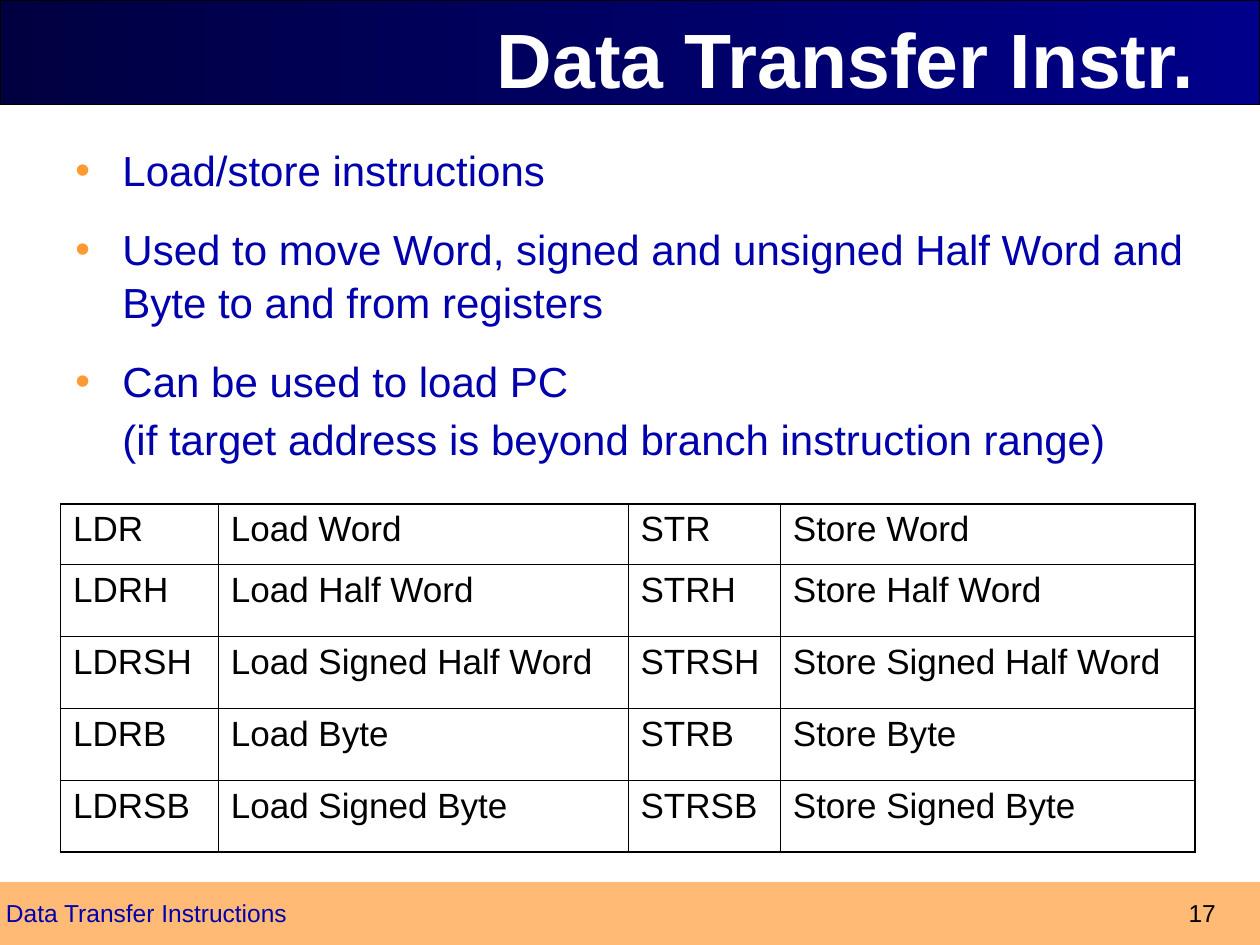
from dataclasses import dataclass

from lxml.etree import SubElement as Sub
from pptx import Presentation
from pptx.dml.color import RGBColor as Rgb
from pptx.enum.shapes import MSO_SHAPE as Shape
from pptx.enum.text import MSO_ANCHOR as Anchor, PP_ALIGN as Align
from pptx.oxml.ns import qn
from pptx.util import Cm, Pt


@dataclass(frozen=True)
class Theme:
    """Colours, font and type sizes of the deck."""
    font: str = "Arial"
    white: str = "FFFFFF"
    black: str = "000000"
    blue: str = "0000AC"
    dark: str = "000040"
    navy: str = "00008A"
    peach: str = "FFBA75"
    dot: str = "FF9933"
    head: int = 44
    body: int = 24
    cell: int = 20
    foot: int = 14
    thick: float = 1.08
    thin: float = 0.45


THEME = Theme()
POINTS = [
    ("Load/store instructions", True),
    ("Used to move Word, signed and unsigned Half Word and Byte to and from registers", True),
    ("Can be used to load PC", True),
    ("(if target address is beyond branch instruction range)", False),
]
CODES = [
    ("LDR", "Load Word", "STR", "Store Word"),
    ("LDRH", "Load Half Word", "STRH", "Store Half Word"),
    ("LDRSH", "Load Signed Half Word", "STRSH", "Store Signed Half Word"),
    ("LDRB", "Load Byte", "STRB", "Store Byte"),
    ("LDRSB", "Load Signed Byte", "STRSB", "Store Signed Byte"),
]


def place(box):
    """Turn a box in centimetres into lengths."""
    return [Cm(side) for side in box]


def write(para, text, size, color, bold=False):
    """Add one styled run to a paragraph."""
    run = para.add_run()
    run.text = text
    font = run.font
    font.name, font.size, font.bold = THEME.font, Pt(size), bold
    font.color.rgb = Rgb.from_string(color)


def add_bar(slide, box):
    """Add a plain bar without line or shadow."""
    bar = slide.shapes.add_shape(Shape.RECTANGLE, *place(box))
    bar.shadow.inherit = False
    bar.line.fill.background()
    return bar


def add_text(slide, box):
    """Add an empty wrapping text box and return its frame."""
    frame = slide.shapes.add_textbox(*place(box)).text_frame
    frame.word_wrap = True
    return frame


def add_head(slide, box, text):
    """Add the gradient band with the title on it."""
    left, top, width, height = box
    band = add_bar(slide, box)
    band.fill.gradient()
    band.fill.gradient_angle = 0
    for stop, color in zip(band.fill.gradient_stops, (THEME.dark, THEME.navy)):
        stop.color.rgb = Rgb.from_string(color)
    band.line.color.rgb = Rgb.from_string(THEME.black)
    band.line.width = Pt(0.75)
    title = slide.shapes.title
    title.element.addprevious(band.element)
    title.left, title.top, title.width, title.height = place(
        (left + 1.48, top - 0.43, width - 2.54, height + 1.07))
    frame = title.text_frame
    frame.word_wrap = True
    frame.vertical_anchor = Anchor.MIDDLE
    para = frame.paragraphs[0]
    para.alignment = Align.RIGHT
    write(para, text, THEME.head, THEME.white, True)


def add_body(slide, box, points):
    """Add the bullet list, with plain lines hung under their bullet."""
    frame = add_text(slide, box)
    for index, (text, dotted) in enumerate(points):
        para = frame.add_paragraph() if index else frame.paragraphs[0]
        props = para._p.get_or_add_pPr()
        props.set("marL", str(Cm(0.95)))
        props.set("indent", str(Cm(-0.95 if dotted else 0)))
        if dotted:
            Sub(Sub(props, qn("a:buClr")), qn("a:srgbClr"), val=THEME.dot)
            Sub(props, qn("a:buFont"), typeface=THEME.font)
            Sub(props, qn("a:buChar"), char="•")
        else:
            Sub(props, qn("a:buNone"))
        para.line_spacing = 1.05
        if index:
            para.space_before = Pt(15 if dotted else 3)
        write(para, text, THEME.body, THEME.blue)


def add_rule(cell, side, width):
    """Draw one border of a table cell."""
    rule = Sub(cell._tc.get_or_add_tcPr(), qn(f"a:ln{side}"), w=str(Pt(width)))
    Sub(Sub(rule, qn("a:solidFill")), qn("a:srgbClr"), val=THEME.black)


def add_grid(slide, box, rows, widths, heights):
    """Add the code table with a thick frame and thin inner rules."""
    size = len(rows), len(widths)
    grid = slide.shapes.add_table(*size, *place(box)).table
    grid.first_row = grid.horz_banding = False
    for col, width in zip(grid.columns, widths):
        col.width = Cm(width)
    for row, height in zip(grid.rows, heights):
        row.height = Cm(height)
    for y, row in enumerate(rows):
        for x, text in enumerate(row):
            cell = grid.cell(y, x)
            edges = {"L": x == 0, "R": x == size[1] - 1,
                     "T": y == 0, "B": y == size[0] - 1}
            for side, outer in edges.items():
                add_rule(cell, side, THEME.thick if outer else THEME.thin)
            cell.fill.background()
            write(cell.text_frame.paragraphs[0], text, THEME.cell, THEME.black)


def add_foot(slide, box, label, page):
    """Add the footer bar with its label and page number."""
    left, top, width, height = box
    bar = add_bar(slide, box)
    bar.fill.solid()
    bar.fill.fore_color.rgb = Rgb.from_string(THEME.peach)
    parts = [
        (label, left - 1.07, 8.05, Align.CENTER, THEME.blue),
        (page, left + width - 4.88, 4.24, Align.RIGHT, THEME.black),
    ]
    for text, start, span, align, color in parts:
        para = add_text(slide, (start, top + 0.2, span, height - 0.43)).paragraphs[0]
        para.alignment = align
        write(para, text, THEME.foot, color)


def main():
    """Build and save the slide."""
    deck = Presentation()
    deck.slide_width, deck.slide_height = Cm(25.4), Cm(19.05)
    slide = deck.slides.add_slide(deck.slide_layouts[5])
    add_head(slide, (0, 0, 25.4, 2.11), "Data Transfer Instr.")
    add_body(slide, (1.27, 2.74, 23.11, 6.81), POINTS)
    add_grid(slide, (1.22, 10.16, 22.87, 7.02), CODES,
             (3.18, 8.26, 3.07, 8.36), [1.22] + [1.45] * 4)
    add_foot(slide, (0, 17.78, 25.4, 1.27), "Data Transfer Instructions", "17")
    deck.save("out.pptx")


if __name__ == "__main__":
    main()
